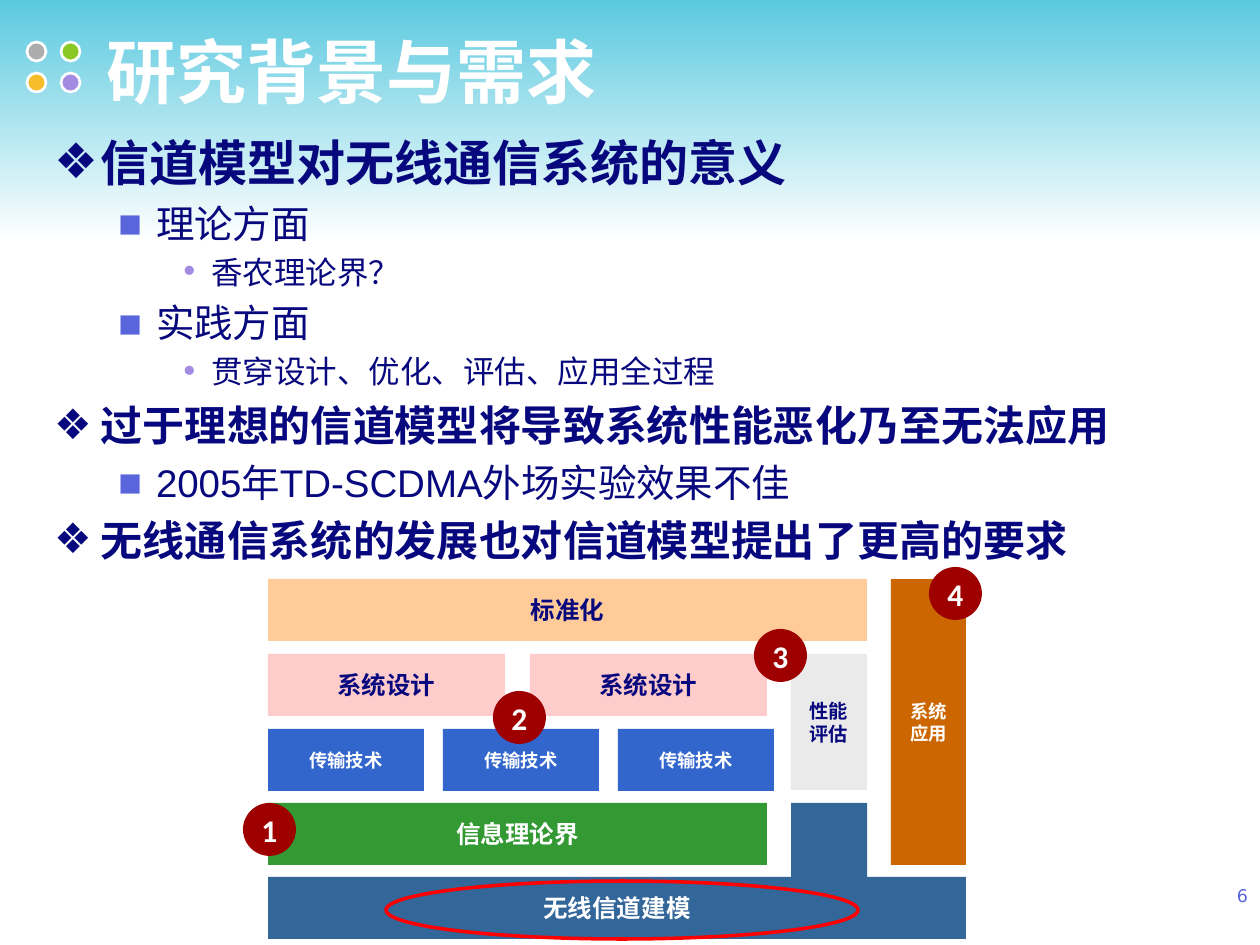
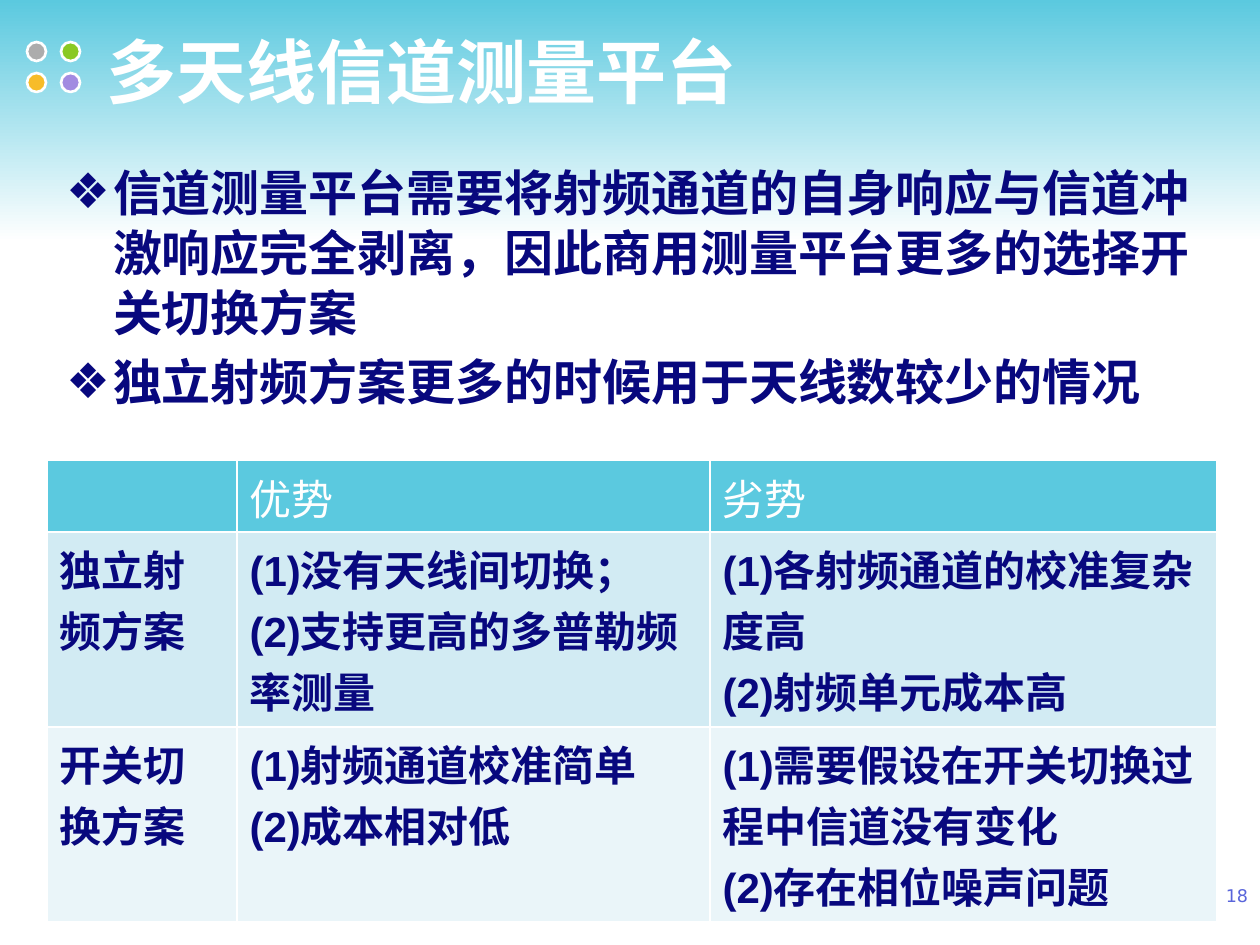
from lxml import etree
from pptx import Presentation
from pptx.dml.color import RGBColor
from pptx.enum.shapes import MSO_SHAPE
from pptx.enum.text import MSO_ANCHOR, PP_ALIGN
from pptx.oxml import parse_xml
from pptx.oxml.ns import nsdecls, qn
from pptx.util import Emu, Pt

PX = 914400 / 126
RECTANGLE, OVAL = MSO_SHAPE.RECTANGLE, MSO_SHAPE.OVAL
LEFT, CENTER, RIGHT = PP_ALIGN.LEFT, PP_ALIGN.CENTER, PP_ALIGN.RIGHT
TOP, MIDDLE = MSO_ANCHOR.TOP, MSO_ANCHOR.MIDDLE
HEADING_FONT, TEXT_FONT, BADGE_FONT = "DejaVu Sans", "Arial", "Calibri"

COLORS = {
    "white": "FFFFFF", "navy": "08087E", "cyan": "5BC9DF", "indigo": "5965DB",
    "gray": "ACACAC", "lime": "8AC923", "amber": "F7BC29", "violet": "A28BE1",
    "peach": "FFCC99", "pink": "FFCCCC", "blue": "3366CC", "green": "339933",
    "silver": "EAEAEA", "orange": "CC6600", "steel": "336699",
    "maroon": "9E0000", "red": "FF0000", "row_dark": "D2EBF3", "row_light": "EAF5F9",
}
# Per level: bullet, bullet colour, text start, hanging indent (px), font, bold
LEVELS = [
    ("❖", "navy", 47, 47, HEADING_FONT, True),
    ("▪", "indigo", 102, 39, TEXT_FONT, False),
    ("•", "violet", 157, 31, TEXT_FONT, False),
]


def px(length):
    return Emu(round(length * PX))


def rgb(name):
    return RGBColor.from_string(COLORS[name])


def format_paragraph(paragraph, size, color, font=TEXT_FONT, bold=False,
                     align=LEFT, east_asian=True):
    paragraph.alignment = align
    for run in paragraph.runs:
        run.font.size = Pt(size)
        run.font.bold = bold
        run.font.name = font
        run.font.color.rgb = rgb(color)
        if east_asian:
            latin = run.font._element.find(qn("a:latin"))
            latin.addnext(parse_xml(f'<a:ea {nsdecls("a")} typeface="{font}"/>'))


def write(shape, text, size, color, anchor=MIDDLE, margin=0, **style):
    frame = shape.text_frame
    frame.text = text
    frame.word_wrap = True
    frame.vertical_anchor = anchor
    frame.margin_left = frame.margin_right = px(2 * margin)
    frame.margin_top = frame.margin_bottom = px(margin)
    for paragraph in frame.paragraphs:
        format_paragraph(paragraph, size, color, **style)


def add_text(slide, box, text, size, color, **style):
    shape = slide.shapes.add_textbox(*map(px, box))
    write(shape, text, size, color, **style)
    return shape


def style_shape(shape, fill=None, line=None, line_width=1):
    shape.shadow.inherit = False
    if fill:
        shape.fill.solid()
        shape.fill.fore_color.rgb = rgb(fill)
    else:
        shape.fill.background()
    if line:
        shape.line.color.rgb = rgb(line)
        shape.line.width = Pt(line_width)
    else:
        shape.line.fill.background()


def add_shape(slide, kind, box, fill=None, line=None, line_width=1):
    shape = slide.shapes.add_shape(kind, *map(px, box))
    style_shape(shape, fill, line, line_width)
    return shape


def add_block(slide, box, fill, text, size, color="white"):
    write(add_shape(slide, RECTANGLE, box, fill), text, size, color,
          bold=True, align=CENTER)


def add_badge(slide, left, top, number):
    badge = add_shape(slide, OVAL, (left, top, 53, 53), "maroon")
    write(badge, str(number), 18, "white", font=BADGE_FONT, bold=True, align=CENTER)


def add_text_shadow(shape):
    for run in shape.text_frame.paragraphs[0].runs:
        effect = parse_xml(
            f'<a:effectLst {nsdecls("a")}><a:outerShdw dist="35921" dir="2700000">'
            '<a:srgbClr val="000000"/></a:outerShdw></a:effectLst>')
        run.font._element.find(qn("a:solidFill")).addnext(effect)


def add_base_slide(presentation, title, number):
    """Add a slide with the gradient band, four dots, title and page number."""
    slide = presentation.slides.add_slide(presentation.slide_layouts[6])
    band = add_shape(slide, RECTANGLE, (0, 0, 1260, 242), "cyan")
    band.fill.gradient()
    band.fill.gradient_angle = 270
    for stop, position, color in zip(band.fill.gradient_stops, (0, 1), ("cyan", "white")):
        stop.position = position
        stop.color.rgb = rgb(color)
    for index, color in enumerate(("gray", "lime", "amber", "violet")):
        row, column = divmod(index, 2)
        add_shape(slide, OVAL, (27 + 34 * column, 42 + 31 * row, 19, 19),
                  color, "white", 1.5)
    heading = add_text(slide, (95, 32, 1123, 78), title, 40, "white",
                       margin=6, font=HEADING_FONT, bold=True)
    add_text_shadow(heading)
    add_text(slide, (966, 879, 294, 34), str(number), 10, "indigo",
             anchor=TOP, margin=6, font=HEADING_FONT, align=RIGHT)
    return slide


def add_bullet(paragraph, level):
    bullet, color, start, hanging = LEVELS[level][:4]
    properties = paragraph._p.get_or_add_pPr()
    properties.set("marL", str(px(start)))
    properties.set("indent", str(-px(hanging)))
    bullet_color = etree.SubElement(properties, qn("a:buClr"))
    etree.SubElement(bullet_color, qn("a:srgbClr"), val=COLORS[color])
    etree.SubElement(properties, qn("a:buFont"), typeface=HEADING_FONT)
    etree.SubElement(properties, qn("a:buChar"), char=bullet)


def add_bullets(slide, box, items):
    """Add an outline from (level, size, text) items."""
    text = "\n".join(item[2] for item in items)
    shape = add_text(slide, box, text, 18, "navy", anchor=TOP, margin=6)
    for index, (level, size, _) in enumerate(items):
        paragraph = shape.text_frame.paragraphs[index]
        add_bullet(paragraph, level)
        font, bold = LEVELS[level][4:]
        for run in paragraph.runs:
            run.font.size = Pt(size)
            run.font.bold = bold
            run.font.name = font
            run.font._element.find(qn("a:ea")).set("typeface", font)
        paragraph.line_spacing = 1.02
        if index:
            paragraph.space_before = Pt(round(size * 0.2, 1))


def add_cell_borders(cell):
    properties = cell._tc.get_or_add_tcPr()
    for index, side in enumerate(("lnL", "lnR", "lnT", "lnB")):
        properties.insert(index, parse_xml(
            f'<a:{side} {nsdecls("a")} w="12700"><a:solidFill>'
            f'<a:srgbClr val="{COLORS["white"]}"/></a:solidFill></a:{side}>'))


def add_comparison_table(slide, left, top, widths, heights, rows):
    box = (left, top, sum(widths), sum(heights))
    table = slide.shapes.add_table(len(rows), len(widths), *map(px, box)).table
    for column, width in zip(table.columns, widths):
        column.width = px(width)
    for row, height in zip(table.rows, heights):
        row.height = px(height)
    for row_index, texts in enumerate(rows):
        fill = ("cyan", "row_dark", "row_light")[row_index]
        for column_index, text in enumerate(texts):
            cell = table.cell(row_index, column_index)
            cell.text = text
            cell.fill.solid()
            cell.fill.fore_color.rgb = rgb(fill)
            add_cell_borders(cell)
            for paragraph in cell.text_frame.paragraphs:
                format_paragraph(paragraph, 24, "navy" if row_index else "white",
                                 bold=row_index > 0, east_asian=False)


def add_channel_foundation(slide):
    outline = [(791, 877), (268, 877), (268, 939), (966, 939),
               (966, 877), (867, 877), (867, 803)]
    builder = slide.shapes.build_freeform(791, 803, scale=PX)
    builder.add_line_segments(outline, close=True)
    style_shape(builder.convert_to_shape(), "steel")
    add_text(slide, (268, 877, 698, 62), "无线信道建模", 14, "white",
             bold=True, align=CENTER)


def add_system_diagram(slide):
    add_channel_foundation(slide)
    add_block(slide, (268, 579, 599, 62), "peach", "标准化", 14, "navy")
    for column in range(3):
        add_block(slide, (268 + 175 * column, 729, 156, 62), "blue", "传输技术", 10.5)
    add_block(slide, (268, 803, 499, 62), "green", "信息理论界", 14)
    for column in range(2):
        add_block(slide, (268 + 262 * column, 654, 237, 62), "pink", "系统设计", 14, "navy")
    add_block(slide, (791, 654, 76, 136), "silver", "性能\n评估", 11, "navy")
    add_block(slide, (891, 579, 75, 286), "orange", "系统\n应用", 10.5)
    badges = [(243, 803), (493, 691), (754, 629), (929, 567)]
    for number, (left, top) in enumerate(badges, start=1):
        add_badge(slide, left, top, number)
    add_shape(slide, OVAL, (386, 881, 472, 58), line="red", line_width=2)


def build_background_slide(presentation):
    slide = add_base_slide(presentation, "研究背景与需求", 6)
    add_bullets(slide, (42, 125, 1155, 724), [
        (0, 28, "信道模型对无线通信系统的意义"),
        (1, 22, "理论方面"),
        (2, 18, "香农理论界？"),
        (1, 22, "实践方面"),
        (2, 18, "贯穿设计、优化、评估、应用全过程"),
        (0, 24, "过于理想的信道模型将导致系统性能恶化乃至无法应用"),
        (1, 22, "2005年TD-SCDMA外场实验效果不佳"),
        (0, 24, "无线通信系统的发展也对信道模型提出了更高的要求"),
    ])
    add_system_diagram(slide)


def build_platform_slide(presentation):
    slide = add_base_slide(presentation, "多天线信道测量平台", 18)
    add_comparison_table(slide, 47, 460, (190, 473, 507), (72, 195, 195), [
        ("", "优势", "劣势"),
        ("独立射频方案",
         "(1)没有天线间切换；\n(2)支持更高的多普勒频率测量",
         "(1)各射频通道的校准复杂度高\n(2)射频单元成本高"),
        ("开关切换方案",
         "(1)射频通道校准简单\n(2)成本相对低",
         "(1)需要假设在开关切换过程中信道没有变化\n(2)存在相位噪声问题"),
    ])
    add_bullets(slide, (54, 155, 1155, 268), [
        (0, 28, "信道测量平台需要将射频通道的自身响应与信道冲激响应完全剥离，"
                "因此商用测量平台更多的选择开关切换方案"),
        (0, 28, "独立射频方案更多的时候用于天线数较少的情况"),
    ])


def main():
    presentation = Presentation()
    presentation.slide_width = px(1260)
    presentation.slide_height = px(945)
    build_background_slide(presentation)
    build_platform_slide(presentation)
    presentation.save("out.pptx")


if __name__ == "__main__":
    main()
